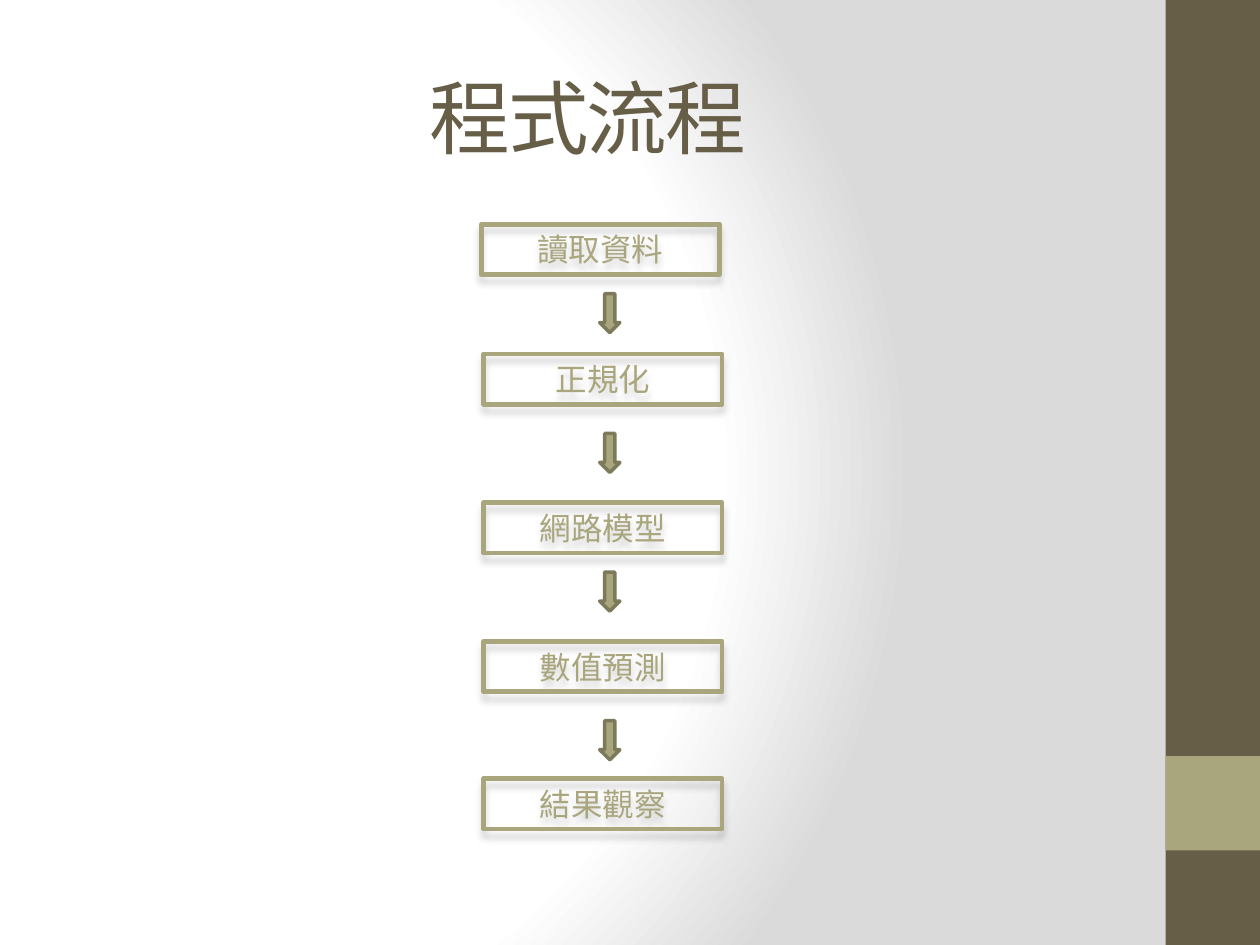
import pptx
import pptx.dml.color
import pptx.enum.shapes
import pptx.enum.text
import pptx.oxml
import pptx.oxml.ns
import pptx.util

Inches = pptx.util.Inches
Pt = pptx.util.Pt
Shapes = pptx.enum.shapes.MSO_SHAPE
Anchor = pptx.enum.text.MSO_ANCHOR
NAMESPACE = pptx.oxml.ns.nsdecls("a")


def color(hex_value):
    return pptx.dml.color.RGBColor.from_string(hex_value)


class FlowSlide:
    """Holds the style and the current slide, and draws each kind of element."""

    font = "Noto Sans CJK SC"
    dark = "675E47"
    accent = "A9A57C"
    arrow_edge = "7D7A5C"

    def __init__(self, presentation):
        self.slide = presentation.slides.add_slide(presentation.slide_layouts[6])

    def background(self, stops, left, top, right, bottom):
        self.slide.background.fill.solid()
        solid = self.slide.element.xpath(".//p:bgPr/a:solidFill")[0]
        stop_list = "".join(
            f'<a:gs pos="{position * 1000}"><a:srgbClr val="{value}"/></a:gs>'
            for position, value in stops
        )
        gradient = pptx.oxml.parse_xml(
            f'<a:gradFill {NAMESPACE} rotWithShape="1"><a:gsLst>{stop_list}</a:gsLst>'
            f'<a:path path="circle"><a:fillToRect l="{left * 1000}" t="{top * 1000}" '
            f'r="{right * 1000}" b="{bottom * 1000}"/></a:path></a:gradFill>'
        )
        solid.getparent().replace(solid, gradient)

    def shape(self, kind, box, fill=None, line=None, width=0):
        shape = self.slide.shapes.add_shape(kind, *map(Inches, box))
        shape.shadow.inherit = False
        if fill:
            shape.fill.solid()
            shape.fill.fore_color.rgb = color(fill)
        else:
            shape.fill.background()
        if line:
            shape.line.color.rgb = color(line)
            shape.line.width = Pt(width)
        else:
            shape.line.fill.background()
        return shape

    def label(self, shape, text, size, text_color, anchor):
        frame = shape.text_frame
        frame.word_wrap = True
        frame.vertical_anchor = anchor
        paragraph = frame.paragraphs[0]
        paragraph.alignment = pptx.enum.text.PP_ALIGN.CENTER
        run = paragraph.add_run()
        run.text = text
        formats = {"name": self.font, "size": Pt(size)}
        for name, value in formats.items():
            setattr(run.font, name, value)
        run.font.color.rgb = color(text_color)
        properties = run._r.get_or_add_rPr()
        properties.append(
            pptx.oxml.parse_xml(f'<a:ea {NAMESPACE} typeface="{self.font}"/>')
        )
        return properties

    def title(self, text, box):
        shape = self.slide.shapes.add_textbox(*map(Inches, box))
        properties = self.label(shape, text, 46, self.dark, Anchor.MIDDLE)
        properties.set("spc", "-100")

    def step(self, text, left, top):
        box = (left, top, 1.89, 0.4)
        shape = self.shape(Shapes.RECTANGLE, box, line=self.accent, width=2.75)
        self.label(shape, text, 18, self.accent, Anchor.TOP)
        shape.text_frame.auto_size = pptx.enum.text.MSO_AUTO_SIZE.SHAPE_TO_FIT_TEXT
        effects = shape.element.xpath("./p:spPr/a:effectLst")[0]
        effects.append(pptx.oxml.parse_xml(
            f'<a:outerShdw {NAMESPACE} blurRad="{Pt(4)}" dist="{Pt(4)}" '
            'dir="5400000" rotWithShape="0"><a:srgbClr val="000000">'
            '<a:alpha val="17000"/></a:srgbClr></a:outerShdw>'
        ))

    def arrow(self, top):
        box = (4.76, top, 0.16, 0.31)
        self.shape(Shapes.DOWN_ARROW, box, self.accent, self.arrow_edge, 2)


def main():
    presentation = pptx.Presentation()
    presentation.slide_width = Inches(10)
    presentation.slide_height = Inches(7.5)

    flow = FlowSlide(presentation)
    flow.background([(0, "FFFFFF"), (75, "FFFFFF"), (100, "DADADA")], 20, 50, 100, 50)
    flow.shape(Shapes.RECTANGLE, (9.25, 0, 0.75, 7.5), flow.dark)
    flow.shape(Shapes.RECTANGLE, (9.25, 6, 0.75, 0.75), flow.accent)
    flow.title("程式流程", (0.5, 0.3, 8.33, 1.25))

    steps = [
        ("讀取資料", 3.82, 1.78),
        ("正規化", 3.84, 2.81),
        ("網路模型", 3.84, 3.99),
        ("數值預測", 3.84, 5.09),
        ("結果觀察", 3.84, 6.18),
    ]
    for text, left, top in steps:
        flow.step(text, left, top)
    for top in (2.33, 3.44, 4.54, 5.72):
        flow.arrow(top)

    presentation.save("out.pptx")


if __name__ == "__main__":
    main()
